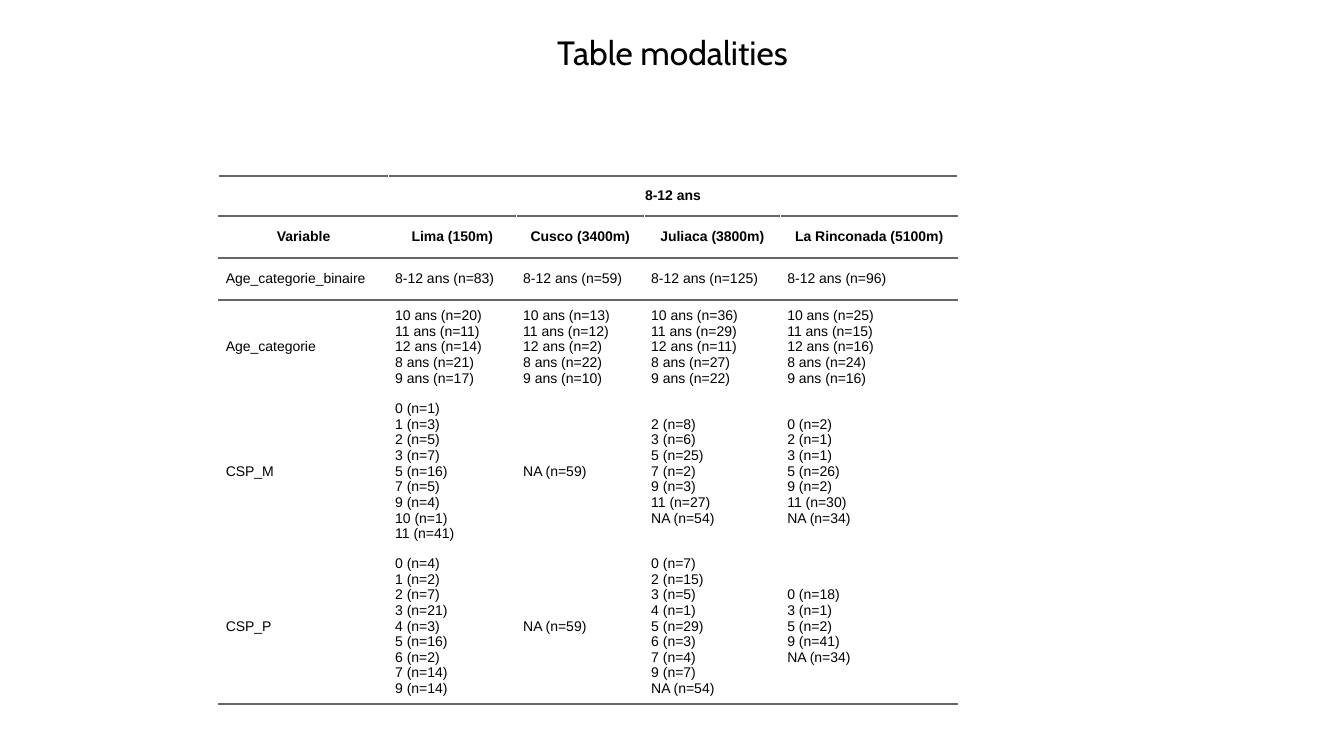
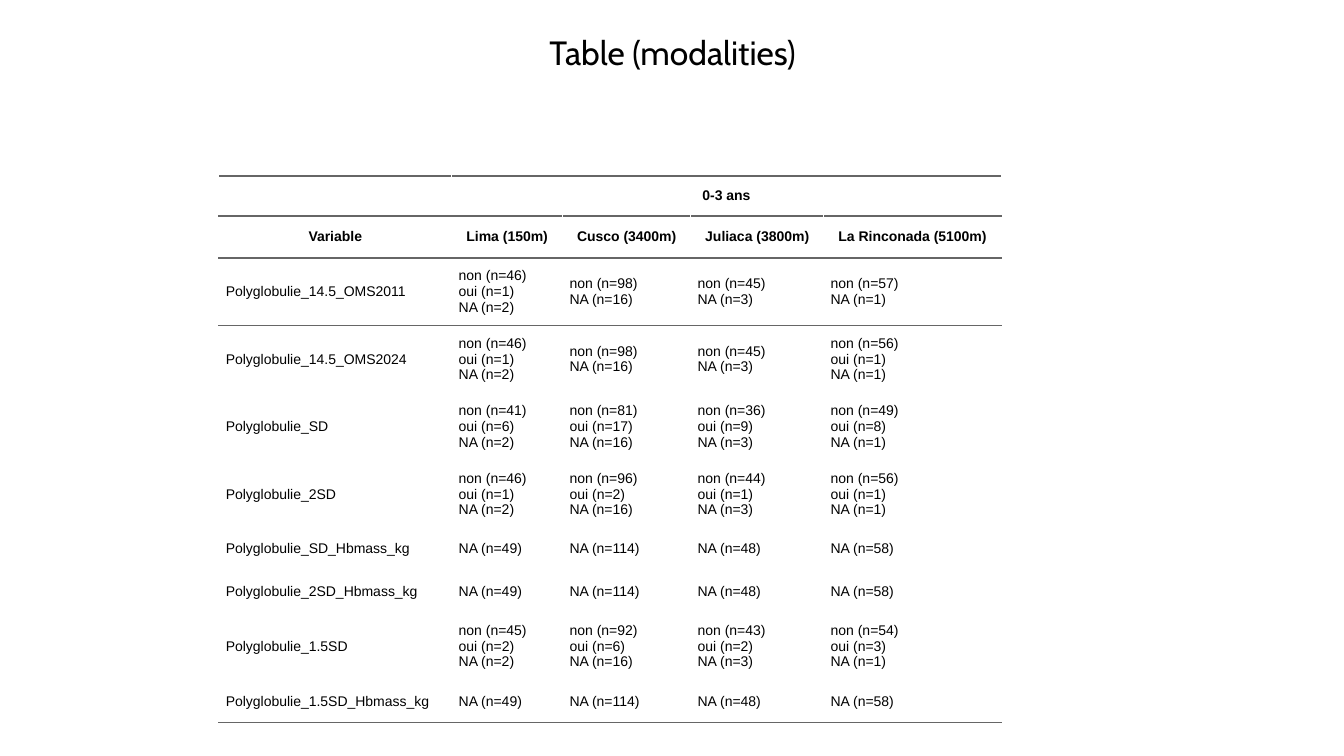
from copy import deepcopy

from lxml import etree
from pptx import Presentation
from pptx.dml.color import RGBColor
from pptx.enum.text import MSO_ANCHOR, PP_ALIGN
from pptx.oxml.ns import qn
from pptx.util import Inches, Pt

CENTER, LEFT = PP_ALIGN.CENTER, PP_ALIGN.LEFT
MIDDLE = MSO_ANCHOR.MIDDLE

BLACK = RGBColor(0x00, 0x00, 0x00)
RULE_GREY = RGBColor(0x66, 0x66, 0x66)
TITLE_FONT, TABLE_FONT = "Cabin", "Arial"
TITLE_SIZE, TABLE_SIZE, RULE_WIDTH = Pt(24), Pt(10), Pt(1.5)

SLIDE_SIZE = (13.33, 7.5)
TITLE_BOX = (0.46, -0.18, 12.42, 1.45)
TABLE_ORIGIN = (2.17, 1.75)
CELL_MARGIN = 0.07
HEADER_HEIGHTS = [0.39, 0.42]
HEADINGS = ("Variable", "Lima (150m)", "Cusco (3400m)", "Juliaca (3800m)",
            "La Rinconada (5100m)")

# Modalities of the 8-12 age group: one row per variable, one column per city
SCHOOL_AGE_ROWS = [
    ("Age_categorie_binaire", "8-12 ans (n=83)", "8-12 ans (n=59)",
     "8-12 ans (n=125)", "8-12 ans (n=96)"),
    ("Age_categorie",
     "10 ans (n=20)\n11 ans (n=11)\n12 ans (n=14)\n8 ans (n=21)\n9 ans (n=17)",
     "10 ans (n=13)\n11 ans (n=12)\n12 ans (n=2)\n8 ans (n=22)\n9 ans (n=10)",
     "10 ans (n=36)\n11 ans (n=29)\n12 ans (n=11)\n8 ans (n=27)\n9 ans (n=22)",
     "10 ans (n=25)\n11 ans (n=15)\n12 ans (n=16)\n8 ans (n=24)\n9 ans (n=16)"),
    ("CSP_M",
     "0 (n=1)\n1 (n=3)\n2 (n=5)\n3 (n=7)\n5 (n=16)\n7 (n=5)\n9 (n=4)\n10 (n=1)\n11 (n=41)",
     "NA (n=59)",
     "2 (n=8)\n3 (n=6)\n5 (n=25)\n7 (n=2)\n9 (n=3)\n11 (n=27)\nNA (n=54)",
     "0 (n=2)\n2 (n=1)\n3 (n=1)\n5 (n=26)\n9 (n=2)\n11 (n=30)\nNA (n=34)"),
    ("CSP_P",
     "0 (n=4)\n1 (n=2)\n2 (n=7)\n3 (n=21)\n4 (n=3)\n5 (n=16)\n6 (n=2)\n7 (n=14)\n9 (n=14)",
     "NA (n=59)",
     "0 (n=7)\n2 (n=15)\n3 (n=5)\n4 (n=1)\n5 (n=29)\n6 (n=3)\n7 (n=4)\n9 (n=7)\nNA (n=54)",
     "0 (n=18)\n3 (n=1)\n5 (n=2)\n9 (n=41)\nNA (n=34)"),
]

# Modalities of the 0-3 age group
ALL_MISSING = ("NA (n=49)", "NA (n=114)", "NA (n=48)", "NA (n=58)")
INFANT_ROWS = [
    ("Polyglobulie_14.5_OMS2011", "non (n=46)\noui (n=1)\nNA (n=2)",
     "non (n=98)\nNA (n=16)", "non (n=45)\nNA (n=3)", "non (n=57)\nNA (n=1)"),
    ("Polyglobulie_14.5_OMS2024", "non (n=46)\noui (n=1)\nNA (n=2)",
     "non (n=98)\nNA (n=16)", "non (n=45)\nNA (n=3)",
     "non (n=56)\noui (n=1)\nNA (n=1)"),
    ("Polyglobulie_SD", "non (n=41)\noui (n=6)\nNA (n=2)",
     "non (n=81)\noui (n=17)\nNA (n=16)", "non (n=36)\noui (n=9)\nNA (n=3)",
     "non (n=49)\noui (n=8)\nNA (n=1)"),
    ("Polyglobulie_2SD", "non (n=46)\noui (n=1)\nNA (n=2)",
     "non (n=96)\noui (n=2)\nNA (n=16)", "non (n=44)\noui (n=1)\nNA (n=3)",
     "non (n=56)\noui (n=1)\nNA (n=1)"),
    ("Polyglobulie_SD_Hbmass_kg", *ALL_MISSING),
    ("Polyglobulie_2SD_Hbmass_kg", *ALL_MISSING),
    ("Polyglobulie_1.5SD", "non (n=45)\noui (n=2)\nNA (n=2)",
     "non (n=92)\noui (n=6)\nNA (n=16)", "non (n=43)\noui (n=2)\nNA (n=3)",
     "non (n=54)\noui (n=3)\nNA (n=1)"),
    ("Polyglobulie_1.5SD_Hbmass_kg", *ALL_MISSING),
]


def add_run(paragraph, text, font_name, size, bold=False):
    run = paragraph.add_run()
    run.text = text
    run.font.name, run.font.size, run.font.bold = font_name, size, bold
    run.font.color.rgb = BLACK
    return run


def write_title(title, text, box):
    title.left, title.top, title.width, title.height = map(Inches, box)
    title.text_frame.vertical_anchor = MIDDLE
    paragraph = title.text_frame.paragraphs[0]
    paragraph.alignment, paragraph.line_spacing = CENTER, 0.9
    add_run(paragraph, text, TITLE_FONT, TITLE_SIZE)


def write_cell(cell, text, is_header):
    cell.vertical_anchor = MIDDLE
    cell.margin_left = cell.margin_right = Inches(CELL_MARGIN)
    cell.margin_top = cell.margin_bottom = Inches(CELL_MARGIN)
    paragraph = cell.text_frame.paragraphs[0]
    paragraph.alignment = CENTER if is_header else LEFT
    if not text:
        # An empty cell keeps the table's text size, so the row stays low
        etree.SubElement(paragraph._p, qn("a:endParaRPr"), sz=str(int(TABLE_SIZE.pt * 100)))
        return
    for number, line in enumerate(text.split("\n")):
        if number:
            paragraph.add_line_break()
        run = add_run(paragraph, line, TABLE_FONT, TABLE_SIZE, is_header)
    # Line breaks take the size of the text around them
    for line_break in paragraph._p.findall(qn("a:br")):
        line_break.append(deepcopy(run._r.rPr))


def rule_cell(cell, edges):
    properties = cell._tc.get_or_add_tcPr()
    for edge in edges:
        line = etree.SubElement(properties, qn(f"a:{edge}"), w=str(RULE_WIDTH))
        fill = etree.SubElement(line, qn("a:solidFill"))
        etree.SubElement(fill, qn("a:srgbClr"), val=str(RULE_GREY))
    cell.fill.background()


def add_modality_table(slide, origin, age_group, body, widths, body_heights):
    rows = [("", age_group, "", "", ""), HEADINGS, *body]
    heights = HEADER_HEIGHTS + body_heights
    table = slide.shapes.add_table(
        len(rows), len(widths), *map(Inches, (*origin, sum(widths), sum(heights)))).table
    table.first_row = table.horz_banding = False
    for column, width in zip(table.columns, widths):
        column.width = Inches(width)

    header_count, last = len(HEADER_HEIGHTS), len(rows) - 1
    for r, texts in enumerate(rows):
        table.rows[r].height = Inches(heights[r])
        # Rules frame each header row and close the table
        edges = ["lnT"] if r <= header_count else []
        if r < header_count or r == last:
            edges.append("lnB")
        for c, text in enumerate(texts):
            write_cell(table.cell(r, c), text, r < header_count)
            rule_cell(table.cell(r, c), edges)
    table.cell(0, 1).merge(table.cell(0, len(widths) - 1))


def add_modality_slide(presentation, title, *table_content):
    title_only = presentation.slide_layouts[5]
    slide = presentation.slides.add_slide(title_only)
    write_title(slide.shapes.title, title, TITLE_BOX)
    add_modality_table(slide, TABLE_ORIGIN, *table_content)


def main():
    presentation = Presentation()
    presentation.slide_width, presentation.slide_height = map(Inches, SLIDE_SIZE)
    add_modality_slide(presentation, "Table modalities", "8-12 ans", SCHOOL_AGE_ROWS,
                       [1.68, 1.27, 1.27, 1.35, 1.76], [0.42, 0.93, 1.45, 1.45])
    single, triple = 0.42, 0.67
    add_modality_slide(presentation, "Table (modalities)", "0-3 ans", INFANT_ROWS,
                       [2.31, 1.1, 1.27, 1.32, 1.76],
                       [triple] * 4 + [single] * 2 + [triple, single])
    presentation.save("out.pptx")


if __name__ == "__main__":
    main()
